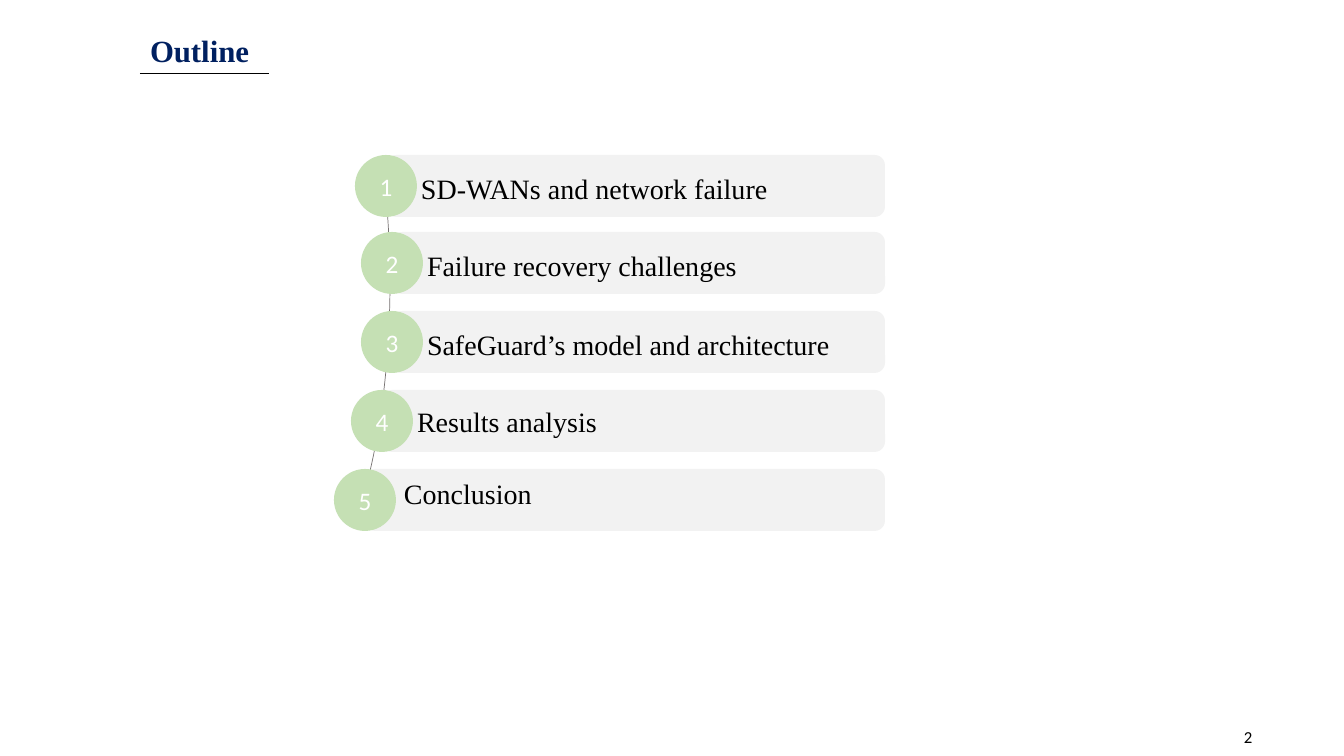
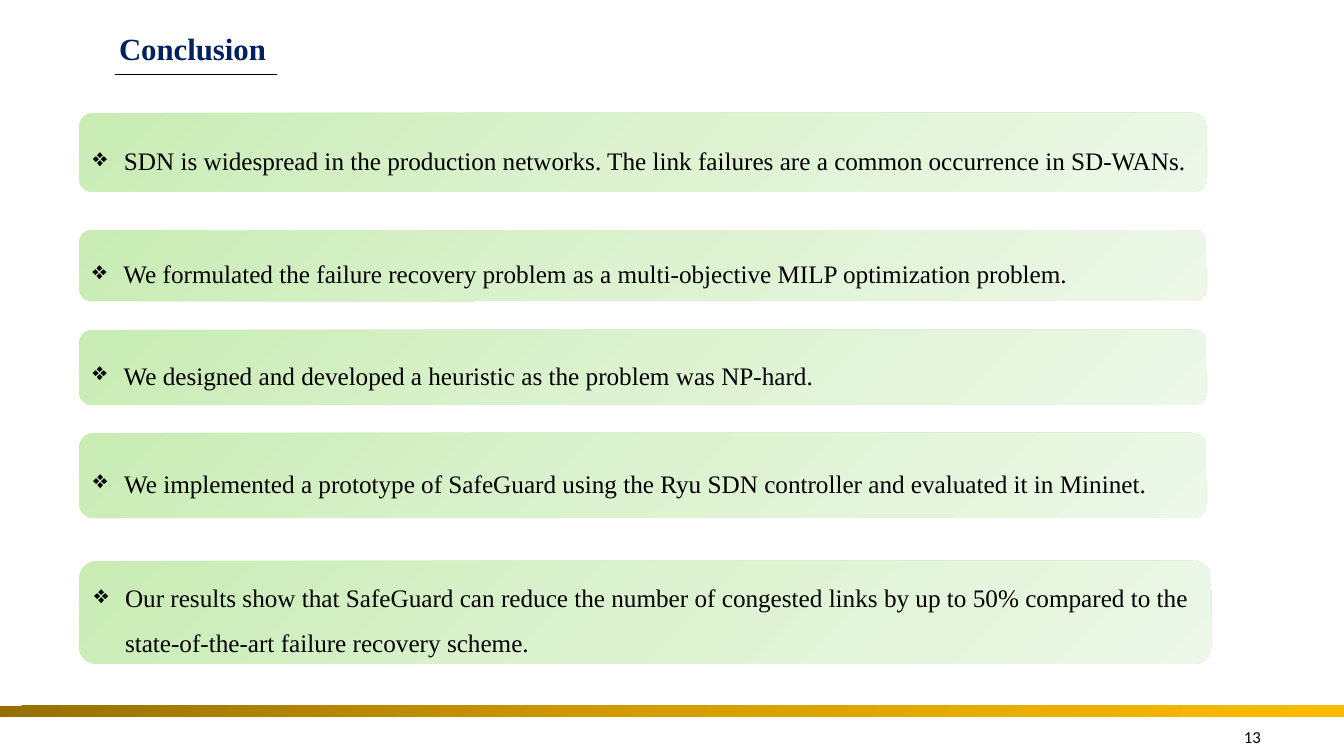
from copy import deepcopy

from lxml import etree
from pptx import Presentation
from pptx.dml.color import RGBColor
from pptx.enum.shapes import MSO_CONNECTOR, MSO_SHAPE
from pptx.enum.text import MSO_ANCHOR, MSO_AUTO_SIZE, PP_ALIGN
from pptx.oxml.ns import qn
from pptx.util import Pt

PX = 914400 / 100.8
ARC, OVAL = MSO_SHAPE.ARC, MSO_SHAPE.OVAL
RECT, ROUNDED = MSO_SHAPE.RECTANGLE, MSO_SHAPE.ROUNDED_RECTANGLE
STRAIGHT = MSO_CONNECTOR.STRAIGHT
TOP, MIDDLE = MSO_ANCHOR.TOP, MSO_ANCHOR.MIDDLE
LEFT, CENTER = PP_ALIGN.LEFT, PP_ALIGN.CENTER
NO_FIT = MSO_AUTO_SIZE.NONE

SERIF, SANS = "Times New Roman", "Calibri"
BLACK, WHITE, NAVY = "000000", "FFFFFF", "002060"
GREY_BAR, GREEN_DOT, ARC_GREY = "F2F2F2", "C5E0B4", "767171"
GOLD = ["966F00", "D59E00", "FDBB00"]
GREEN = ["C9ECB4", "DCF2D0", "EDF8E8"]


def px(*lengths):
    return [round(length * PX) for length in lengths]


def write(shape, text, font=SERIF, size=20, color=BLACK, bold=False,
          align=LEFT, anchor=MIDDLE, spacing=None, insets=(10, 5, 10, 5)):
    frame = shape.text_frame
    frame.word_wrap = True
    frame.auto_size = NO_FIT
    frame.vertical_anchor = anchor
    (frame.margin_left, frame.margin_top,
     frame.margin_right, frame.margin_bottom) = px(*insets)
    paragraph = frame.paragraphs[0]
    paragraph.alignment = align
    paragraph.line_spacing = spacing
    run = paragraph.add_run()
    run.text = text
    run.font.name, run.font.size, run.font.bold = font, Pt(size), bold
    run.font.color.rgb = RGBColor.from_string(color)
    return paragraph


prs = Presentation()
prs.slide_width, prs.slide_height = px(1344, 756)
title_only = prs.slide_layouts[5]

# Title, rule under it and page number on each slide
slides = []
for heading, title_box, rule, page in [
    ("Outline", (140, 27, 179, 47), (140, 73, 269, 73), "2"),
    ("Conclusion", (109, 25, 234, 47), (115, 74, 277, 74), "13"),
]:
    slide = prs.slides.add_slide(title_only)
    title = slide.shapes.title
    title.left, title.top, title.width, title.height = px(*title_box)
    write(title, heading, size=22, color=NAVY, bold=True, anchor=TOP)
    underline = slide.shapes.add_connector(STRAIGHT, *px(*rule))
    underline.line.color.rgb = RGBColor.from_string(BLACK)
    underline.line.width = Pt(0.5)
    etree.SubElement(underline._element.spPr, qn("a:effectLst"))
    page_number = slide.shapes.add_textbox(*px(1234, 722, 98, 30))
    write(page_number, page, font=SANS, size=12, anchor=TOP)
    slides.append(slide)
outline, conclusion = slides

# Outline: arc behind the numbered bars
arc = outline.shapes.add_shape(ARC, *px(152, -56, 238, 678))
arc.adjustments[0], arc.adjustments[1] = 193.135, 40.173
arc.shadow.inherit = False
arc.fill.background()
arc.line.color.rgb = RGBColor.from_string(ARC_GREY)
arc.line.width = Pt(0.5)

# Outline: each bar starts at the centre of its numbered dot
BAR_RIGHT, BAR_HEIGHT = 885, 62
topics = [
    # dot centre, top, text, line spacing, left and bottom inset
    (386, 155, "SD-WANs and network failure", 1.15, 32, 0),
    (392, 232, "Failure recovery challenges", 1.15, 32, 0),
    (392, 311, "SafeGuard’s model and architecture", 1.15, 32, 0),
    (382, 390, "Results analysis", 1, 32, 0),
    (365, 469, "Conclusion", 1.15, 36, 18),
]
for number, (center, top, topic, spacing, indent, lift) in enumerate(topics, 1):
    bar = outline.shapes.add_shape(
        ROUNDED, *px(center, top, BAR_RIGHT - center, BAR_HEIGHT))
    dot = outline.shapes.add_shape(
        OVAL, *px(center - BAR_HEIGHT // 2, top, BAR_HEIGHT, BAR_HEIGHT))
    for part, color in ((bar, GREY_BAR), (dot, GREEN_DOT)):
        part.shadow.inherit = False
        part.fill.solid()
        part.fill.fore_color.rgb = RGBColor.from_string(color)
        part.line.fill.background()
    write(bar, topic, spacing=spacing, insets=(indent, 0, 0, lift))
    write(dot, str(number), font=SANS, size=18, color=WHITE, align=CENTER,
          insets=(0, 0, 0, 0))

# Conclusion: gold band and findings on green cards
band = conclusion.shapes.add_shape(RECT, *px(0, 706, 1344, 11))
gradients = [(band, GOLD)]
findings = [
    (113, 1127, 79, "SDN is widespread in the production networks. The link "
                    "failures are a common occurrence in SD-WANs."),
    (230, 1127, 71, "We formulated the failure recovery problem as a "
                    "multi-objective MILP optimization problem."),
    (330, 1127, 75, "We designed and developed a heuristic as the problem "
                    "was NP-hard."),
    (433, 1127, 85, "We implemented a prototype of SafeGuard using the Ryu "
                    "SDN controller and evaluated it in Mininet."),
    (561, 1132, 103, "Our results show that SafeGuard can reduce the number "
                     "of congested links by up to 50% compared to the "
                     "state-of-the-art failure recovery scheme."),
]
for top, width, height, finding in findings:
    card = conclusion.shapes.add_shape(ROUNDED, *px(79, top, width, height))
    paragraph = write(card, finding, size=18, spacing=1.5)
    bullet_indent = px(31)[0]
    properties = paragraph._p.get_or_add_pPr()
    properties.set("marL", str(bullet_indent))
    properties.set("indent", str(-bullet_indent))
    etree.SubElement(properties, qn("a:buChar"), char="❖")
    gradients.append((card, GREEN))

# Three-stop diagonal gradients
for part, colors in gradients:
    part.shadow.inherit = False
    part.line.fill.background()
    part.fill.gradient()
    part.fill.gradient_angle = 315
    stop_list = part._element.spPr.find(qn("a:gradFill")).find(qn("a:gsLst"))
    stop_list.insert(1, deepcopy(stop_list[0]))
    for stop, color, position in zip(part.fill.gradient_stops, colors, (0, 0.5, 1)):
        stop.color.rgb = RGBColor.from_string(color)
        stop.position = position

prs.save("out.pptx")
